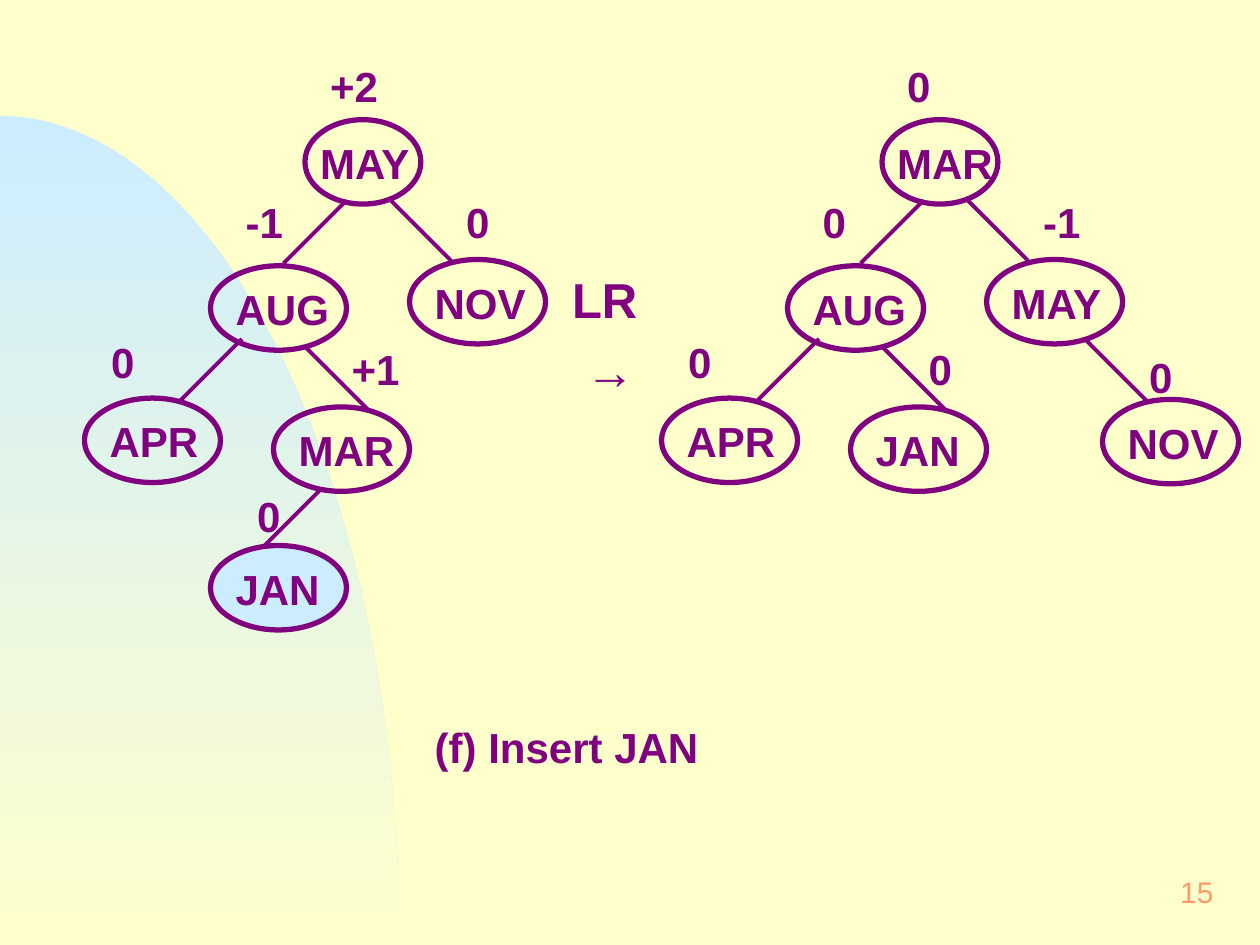
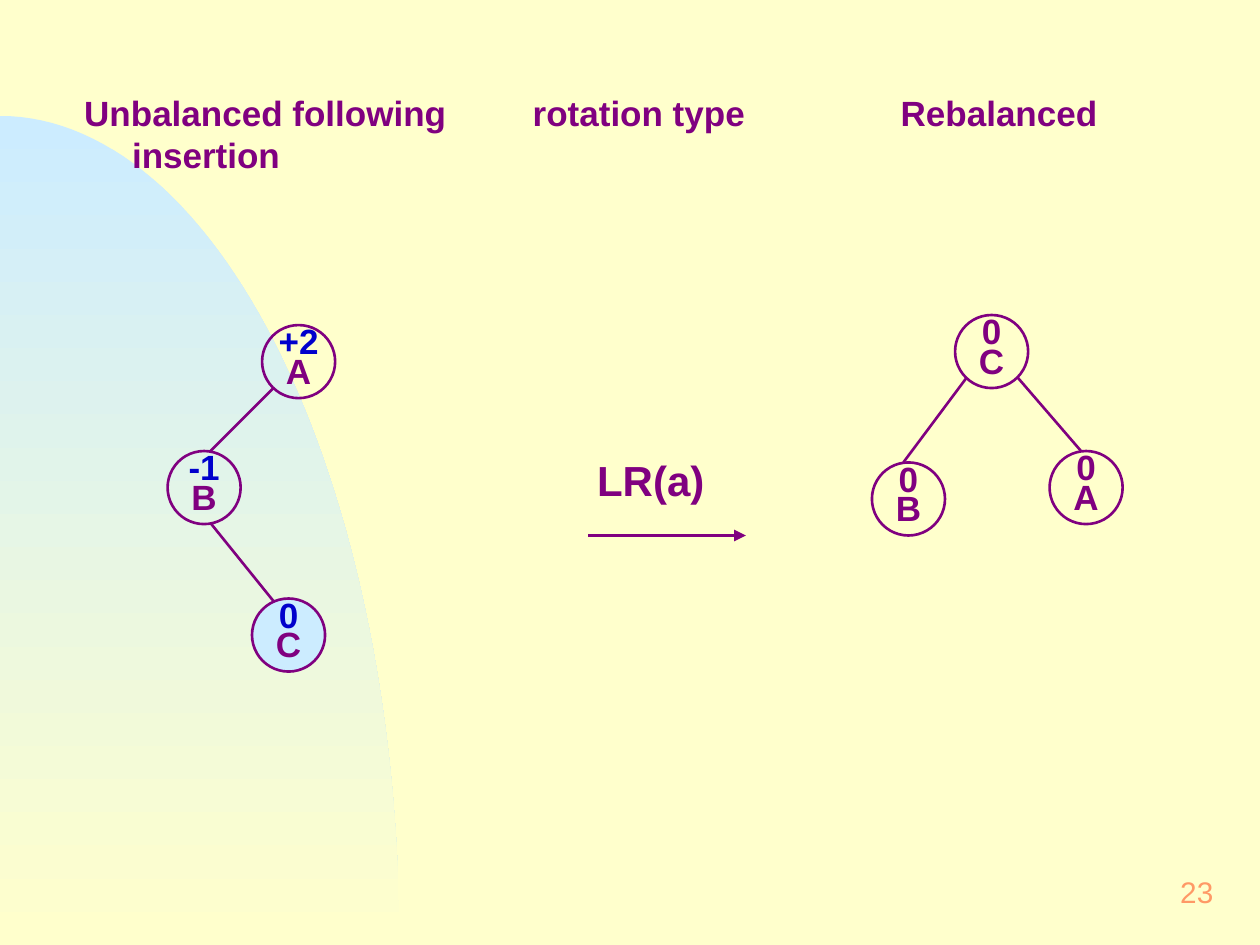
"""Build two slides on LR rotations in AVL trees."""
from collections import namedtuple
from dataclasses import dataclass
from math import cos, pi, sin

from lxml import etree
from pptx import Presentation
from pptx.dml.color import RGBColor
from pptx.enum.shapes import MSO_CONNECTOR, MSO_SHAPE
from pptx.enum.text import MSO_ANCHOR, PP_ALIGN
from pptx.oxml.ns import qn
from pptx.util import Inches, Pt

LEFT, CENTER, RIGHT = PP_ALIGN.LEFT, PP_ALIGN.CENTER, PP_ALIGN.RIGHT
TOP, MIDDLE = MSO_ANCHOR.TOP, MSO_ANCHOR.MIDDLE
ELLIPSE, STRAIGHT = MSO_SHAPE.OVAL, MSO_CONNECTOR.STRAIGHT

Style = namedtuple("Style", "size bold align anchor before spacing inset")


@dataclass(frozen=True)
class Theme:
    font: str = "Arial"
    cream: RGBColor = RGBColor(0xFF, 0xFF, 0xCC)
    sky: RGBColor = RGBColor(0xCC, 0xEC, 0xFF)
    purple: RGBColor = RGBColor(0x80, 0x00, 0x80)
    blue: RGBColor = RGBColor(0x00, 0x00, 0xCC)
    orange: RGBColor = RGBColor(0xFF, 0x99, 0x66)
    page: Style = Style(17, False, RIGHT, MIDDLE, 0, 1, 0.12)
    label: Style = Style(24, True, LEFT, TOP, 6, 1, 0.12)
    rotation: Style = Style(28, True, LEFT, TOP, 7, 1, 0.12)
    heading: Style = Style(20, True, LEFT, TOP, 0, 1, 0.1)
    node: Style = Style(20, True, CENTER, TOP, 0, 0.7, 0.1)
    arrow: Style = Style(24, True, CENTER, TOP, 0, 0.7, 0.1)


THEME = Theme()


def add_text(slide, box, style, lines):
    frame = slide.shapes.add_textbox(*map(Inches, box)).text_frame
    frame.word_wrap = True
    frame.vertical_anchor = style.anchor
    frame.margin_left = frame.margin_right = Inches(style.inset)
    frame.margin_top = frame.margin_bottom = Inches(style.inset / 2)
    for index, (text, color, *tab_stops) in enumerate(lines):
        paragraph = frame.paragraphs[0] if index == 0 else frame.add_paragraph()
        paragraph.alignment = style.align
        paragraph.space_before = Pt(style.before)
        paragraph.line_spacing = style.spacing
        if tab_stops:
            tab_list = etree.SubElement(paragraph._p.get_or_add_pPr(), qn("a:tabLst"))
            for stop in tab_stops:
                etree.SubElement(tab_list, qn("a:tab"), pos=str(Inches(stop)), algn="l")
        run = paragraph.add_run()
        run.text = text
        run.font.name = THEME.font
        run.font.size = Pt(style.size)
        run.font.bold = style.bold
        run.font.color.rgb = color


presentation = Presentation()
presentation.slide_width = Inches(10)
presentation.slide_height = Inches(7.5)
master = presentation.slide_master
master.background.fill.solid()
master.background.fill.fore_color.rgb = THEME.cream
blank_layout = presentation.slide_layouts[6]

SLOTS = {
    "root": ((2.42, 0.95, 0.92), (2.5, 0.42, 0.83), None),
    "left": ((1.67, 2.11, 1.08), (1.83, 1.5, 1.17), (2.25, 2.09, 2.75, 1.59)),
    "right": ((3.25, 2.06, 1.08), (3.58, 1.5, 1.17), (3.58, 2.07, 3.08, 1.57)),
    "left-left": ((0.67, 3.16, 1.08), (0.67, 2.61, 1.17), (1.42, 3.19, 1.92, 2.69)),
    "left-right": ((2.17, 3.23, 1.08), (2.67, 2.67, 0.75), (2.92, 3.25, 2.42, 2.75)),
    "right-right": ((4.17, 3.17, 1.08), (4.42, 2.73, 1.17), (4.53, 3.19, 4.03, 2.69)),
    "inserted": ((1.67, 4.33, 1.08), (1.92, 3.83, 1.17), (2.09, 4.34, 2.55, 3.88)),
}
MONTH_TREES = [
    (0, [("root", "MAY", "+2"), ("left", "AUG", "-1"), ("right", "NOV", "0"),
         ("left-left", "APR", " 0"), ("left-right", "MAR", "+1"), ("inserted", "JAN", "0")]),
    (4.58, [("root", "MAR", "0"), ("left", "AUG", "0"), ("right", "MAY", "-1"),
            ("left-left", "APR", " 0"), ("left-right", "JAN", "0"), ("right-right", "NOV", "0")]),
]
month_ellipses, month_links = [], []
month_texts = [
    ((3.33, 5.67, 2.75, 0.52), THEME.label, [("(f) Insert JAN", THEME.purple)]),
    ((4.42, 2.08, 1, 1.16), THEME.rotation, [("LR", THEME.purple), (" →", THEME.purple)]),
]
for shift, months in MONTH_TREES:
    for slot, month, balance in months:
        (left, top, width), (balance_left, balance_top, balance_width), link = SLOTS[slot]
        fill = THEME.sky if slot == "inserted" else None
        month_ellipses.append(((left + shift, top, width, 0.67), fill))
        indent = 0 if slot == "root" else 0.08
        month_texts += [
            ((left + shift + indent, top + 0.08, 1.17, 0.52), THEME.label,
             [(month, THEME.purple)]),
            ((balance_left + shift, balance_top, balance_width, 0.52), THEME.label,
             [(balance, THEME.purple)]),
        ]
        if link:
            x1, y1, x2, y2 = link
            month_links.append((x1 + shift, y1, x2 + shift, y2, 2.25, False))

LETTER_NODES = [
    (2.08, 2.58, "+2", "A", THEME.blue, None),
    (1.33, 3.58, "-1", "B", THEME.blue, None),
    (2, 4.75, "0", "C", THEME.blue, THEME.sky),
    (7.58, 2.5, "0", "C", THEME.purple, None),
    (6.92, 3.67, "0", "B", THEME.purple, None),
    (8.33, 3.58, "0", "A", THEME.purple, None),
]
letter_ellipses = []
letter_links = [
    (2.17, 3.08, 1.67, 3.58, 1.5, False),
    (1.67, 4.15, 2.17, 4.77, 1.5, False),
    (7.67, 3, 7.17, 3.67, 1.5, False),
    (8.08, 3, 8.58, 3.58, 1.5, False),
    (4.67, 4.25, 5.92, 4.25, 2.25, True),
]
letter_texts = [
    ((0.33, 0.68, 9.5, 0.77), THEME.heading,
     [("\tUnbalanced following\trotation type\tRebalanced", THEME.purple, 0.24, 3.8, 6.72),
      ("\tinsertion", THEME.purple, 0.62)]),
    ((4.58, 3.67, 1.17, 0.38), THEME.arrow, [("LR(a)", THEME.purple)]),
]
for left, top, balance, letter, balance_color, fill in LETTER_NODES:
    box = (left, top, 0.58, 0.58)
    letter_ellipses.append((box, fill))
    letter_texts.append((box, THEME.node, [(balance, balance_color), (letter, THEME.purple)]))

SLIDES = [
    ("15", 3, month_ellipses, month_links, month_texts),
    ("23", 1.5, letter_ellipses, letter_links, letter_texts),
]
for page_number, outline, ellipses, links, texts in SLIDES:
    slide = presentation.slides.add_slide(blank_layout)
    add_text(slide, (7.67, 6.83, 2.08, 0.5), THEME.page, [(page_number, THEME.orange)])
    for box, fill in ellipses:
        shape = slide.shapes.add_shape(ELLIPSE, *map(Inches, box))
        shape.shadow.inherit = False
        shape.line.color.rgb = THEME.purple
        shape.line.width = Pt(outline)
        if fill:
            shape.fill.solid()
            shape.fill.fore_color.rgb = fill
        else:
            shape.fill.background()
    for *ends, weight, has_arrow in links:
        connector = slide.shapes.add_connector(STRAIGHT, *map(Inches, ends))
        connector.line.color.rgb = THEME.purple
        connector.line.width = Pt(weight)
        properties = connector.element.spPr
        if has_arrow:
            etree.SubElement(properties.find(qn("a:ln")), qn("a:tailEnd"), type="triangle")
        etree.SubElement(properties, qn("a:effectLst"))
    for box, style, lines in texts:
        add_text(slide, box, style, lines)

STEPS = 60
angles = [pi / 2 * step / STEPS for step in range(STEPS + 1)]
arc = [(Inches(3.17 * sin(angle)), Inches(7.5 - 6.58 * cos(angle))) for angle in angles]
builder = presentation.slides[0].shapes.build_freeform(*arc[0])
builder.add_line_segments(arc[1:] + [(0, Inches(7.5))], close=True)
curve = builder.convert_to_shape()
curve.shadow.inherit = False
curve.line.fill.background()
curve.fill.gradient()
curve.fill.gradient_angle = 270
for stop, color in zip(curve.fill.gradient_stops, (THEME.sky, THEME.cream)):
    stop.color.rgb = color
curve.element.nvSpPr.cNvPr.id = 50
master.shapes.element.append(curve.element)

presentation.save("out.pptx")
